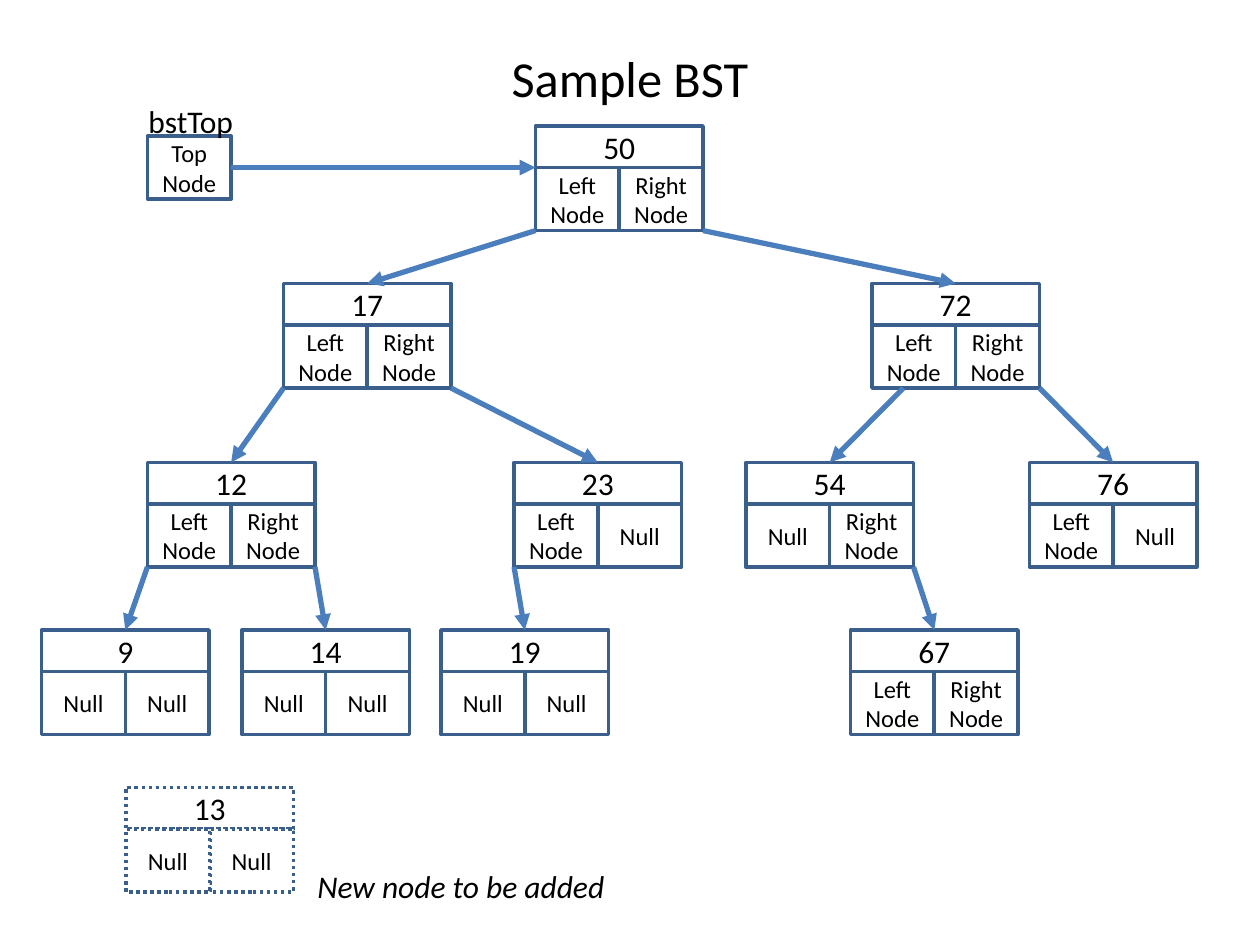
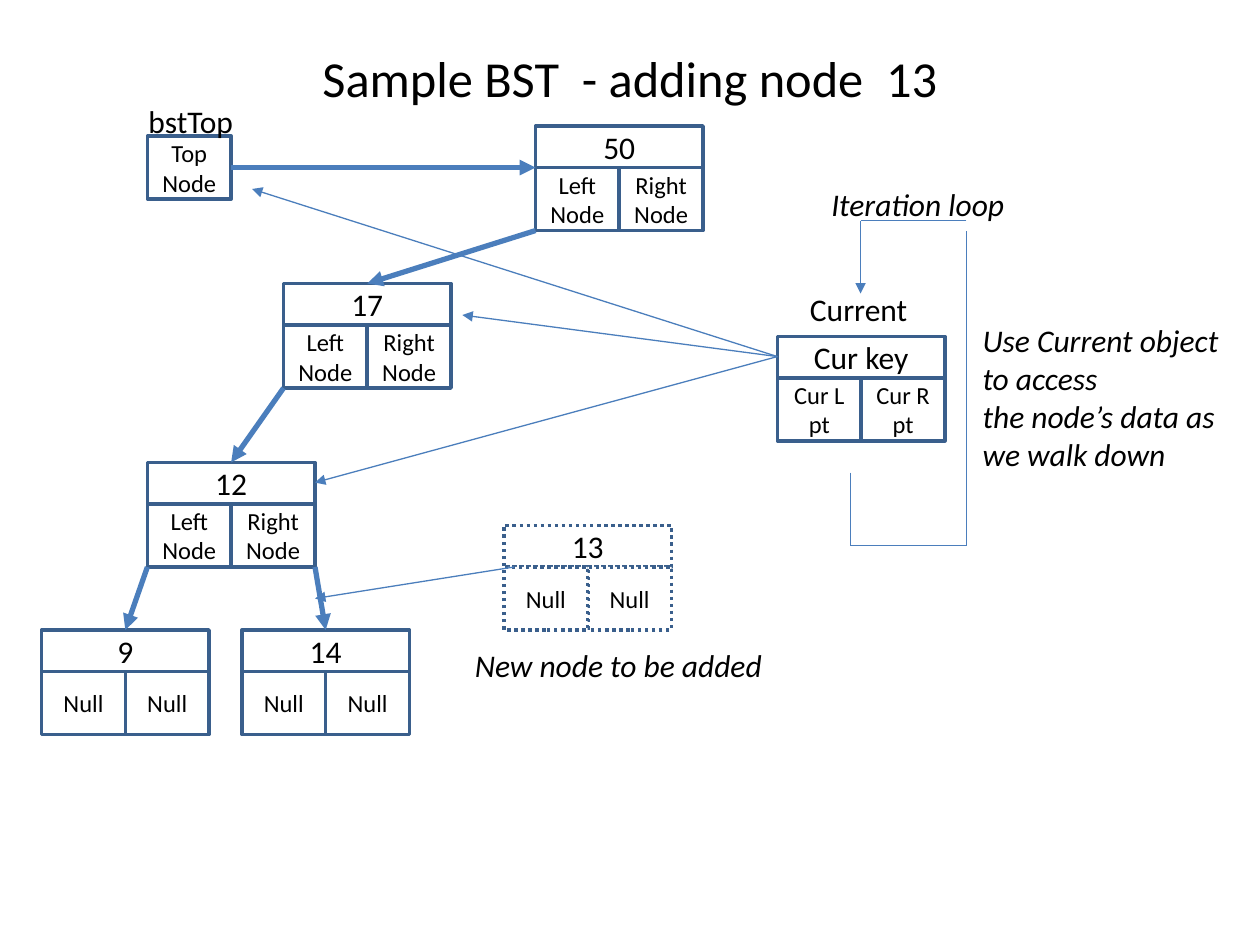
from dataclasses import dataclass

from lxml import etree
from pptx import Presentation
from pptx import util as u
from pptx.dml.color import RGBColor
from pptx.enum import dml, shapes, text
from pptx.oxml import ns


@dataclass(frozen=True)
class Theme:
    font: str = "Calibri"
    ink: str = "000000"
    paper: str = "FFFFFF"
    outline: str = "3A5F8C"
    arrow: str = "4B7EBC"
    title_size: float = 28.8
    key_size: float = 18
    pointer_size: float = 14
    outline_width: float = 2
    link_width: float = 3
    thin_width: float = 0.75


NODE_WIDTH, KEY_HEIGHT, POINTER_HEIGHT = 1.33, 0.33, 0.5
NODE_HEIGHT = KEY_HEIGHT + POINTER_HEIGHT
LEVELS = (1, 2.25, 3.67, 5)
LEFT, RIGHT, NULL = "Left Node", "Right Node", "Null"

TREE = {
    50: (4.25, LEVELS[0], LEFT, RIGHT),
    17: (2.25, LEVELS[1], LEFT, RIGHT),
    72: (6.92, LEVELS[1], LEFT, RIGHT),
    12: (1.17, LEVELS[2], LEFT, RIGHT),
    23: (4.08, LEVELS[2], LEFT, NULL),
    54: (5.92, LEVELS[2], NULL, RIGHT),
    76: (8.17, LEVELS[2], LEFT, NULL),
    14: (1.92, LEVELS[3], NULL, NULL),
    67: (6.75, LEVELS[3], LEFT, RIGHT),
    9: (0.33, LEVELS[3], NULL, NULL),
    19: (3.5, LEVELS[3], NULL, NULL),
}
LINKS = [(50, 17), (50, 72), (72, 76), (17, 12), (17, 23), (72, 54),
         (54, 67), (12, 9), (12, 14), (23, 19)]
LINK_INSETS = {(72, 54): 0.25}
SEARCH_PATH = (50, 17, 12, 14, 9)


def write_text(frame, content, *, theme, size, align=text.PP_ALIGN.LEFT,
               anchor=text.MSO_ANCHOR.TOP, wrap=True, italic=None,
               auto_size=text.MSO_AUTO_SIZE.NONE):
    frame.text = content
    frame.word_wrap = wrap
    frame.auto_size = auto_size
    frame.vertical_anchor = anchor
    for paragraph in frame.paragraphs:
        paragraph.alignment = align
        for run in paragraph.runs:
            run.font.name = theme.font
            run.font.size = u.Pt(size)
            run.font.italic = italic
            run.font.color.rgb = RGBColor.from_string(theme.ink)


class Diagram:
    def __init__(self, deck, theme):
        self.deck = deck
        self.theme = theme
        self.slide = None

    def start_slide(self, heading):
        self.slide = self.deck.slides.add_slide(self.deck.slide_layouts[5])
        title = self.slide.shapes.title
        title.left, title.top = u.Inches(0.5), u.Inches(0.3)
        title.width, title.height = u.Inches(9), u.Inches(0.62)
        write_text(title.text_frame, heading, theme=self.theme,
                   size=self.theme.title_size, align=text.PP_ALIGN.CENTER,
                   anchor=text.MSO_ANCHOR.MIDDLE)

    def cell(self, owner, content, x, y, width, height, size,
             dotted=False, filled=True):
        box = owner.add_shape(shapes.MSO_SHAPE.RECTANGLE, u.Inches(x),
                              u.Inches(y), u.Inches(width), u.Inches(height))
        box.shadow.inherit = False
        if filled:
            box.fill.solid()
            box.fill.fore_color.rgb = RGBColor.from_string(self.theme.paper)
        else:
            box.fill.background()
        box.line.color.rgb = RGBColor.from_string(self.theme.outline)
        box.line.width = u.Pt(self.theme.outline_width)
        if dotted:
            box.line.dash_style = dml.MSO_LINE.ROUND_DOT
        write_text(box.text_frame, content, theme=self.theme, size=size,
                   align=text.PP_ALIGN.CENTER, anchor=text.MSO_ANCHOR.MIDDLE)

    def node(self, key, x, y, left, right, dotted=False):
        members = self.slide.shapes.add_group_shape().shapes
        half = NODE_WIDTH / 2
        self.cell(members, str(key), x, y, NODE_WIDTH, KEY_HEIGHT,
                  self.theme.key_size, dotted)
        for pointer, pointer_x in ((right, x + half), (left, x)):
            self.cell(members, pointer, pointer_x, y + KEY_HEIGHT, half,
                      POINTER_HEIGHT, self.theme.pointer_size, dotted)

    def label(self, content, x, y, width, height=0.4, wrap=False, italic=None):
        box = self.slide.shapes.add_textbox(
            u.Inches(x), u.Inches(y), u.Inches(width), u.Inches(height))
        write_text(box.text_frame, content, theme=self.theme,
                   size=self.theme.key_size, wrap=wrap, italic=italic,
                   auto_size=text.MSO_AUTO_SIZE.SHAPE_TO_FIT_TEXT)

    def line(self, start, end, width, arrow=True):
        connector = self.slide.shapes.add_connector(
            shapes.MSO_CONNECTOR.STRAIGHT,
            *(u.Inches(value) for value in (*start, *end)))
        connector.line.color.rgb = RGBColor.from_string(self.theme.arrow)
        connector.line.width = u.Pt(width)
        if arrow:
            etree.SubElement(connector.line._get_or_add_ln(),
                             ns.qn("a:tailEnd"), type="triangle")
        etree.SubElement(connector._element.spPr, ns.qn("a:effectLst"))

    def link(self, parent, child):
        parent_x, parent_y = TREE[parent][:2]
        child_x, child_y = TREE[child][:2]
        side = 0 if child < parent else NODE_WIDTH
        inset = LINK_INSETS.get((parent, child), 0)
        self.line((parent_x + side + inset, parent_y + NODE_HEIGHT),
                  (child_x + NODE_WIDTH / 2, child_y), self.theme.link_width)

    def tree(self, keys):
        self.cell(self.slide.shapes, "Top\nNode", 1.17, 1.08, NODE_WIDTH / 2,
                  POINTER_HEIGHT, self.theme.pointer_size, filled=False)
        self.label("bstTop", 1.08, 0.76, 0.88)
        for key in keys:
            self.node(key, *TREE[key])
        root_x, root_y = TREE[50][:2]
        self.line((1.83, root_y + KEY_HEIGHT), (root_x, root_y + KEY_HEIGHT),
                  self.theme.link_width)
        for parent, child in LINKS:
            if parent in keys and child in keys:
                self.link(parent, child)

    def new_node(self, x, y, caption_x, caption_y):
        self.node(13, x, y, NULL, NULL, dotted=True)
        self.label("New node to be added", caption_x, caption_y, 2.55,
                   italic=True)


def draw_sample(diagram):
    diagram.start_slide("Sample BST")
    diagram.tree(TREE)
    diagram.new_node(1, 6.25, 2.42, 6.83)


def draw_insertion(diagram):
    thin = diagram.theme.thin_width
    diagram.start_slide("Sample BST  - adding node  13")
    diagram.tree(SEARCH_PATH)
    diagram.new_node(4, 4.17, 3.67, 5.08)

    diagram.node("Cur key", 6.17, 2.67, "Cur L pt", "Cur R pt")
    diagram.label("Current", 6.33, 2.25, 0.98)
    for visited in ((2, 1.5), (3.67, 2.5), (2.5, 3.83)):
        diagram.line((6.17, 2.83), visited, thin)
    diagram.line((4.08, 4.5), (2.5, 4.75), thin)
    diagram.label("Use Current object to access\n"
                  "the node’s data as we walk down",
                  7.7, 2.5, 2.33, 1.31, wrap=True, italic=True)

    loop_exit = [(6.75, 3.75), (6.75, 4.33), (7.67, 4.33), (7.67, 1.83)]
    for start, end in zip(loop_exit, loop_exit[1:]):
        diagram.line(start, end, thin, arrow=False)
    diagram.line((7.67, 1.75), (6.83, 1.75), thin, arrow=False)
    diagram.line((6.83, 1.75), (6.83, 2.33), thin)
    diagram.label("Iteration loop", 6.5, 1.42, 1.6, italic=True)


def main():
    deck = Presentation()
    deck.slide_width, deck.slide_height = u.Inches(10), u.Inches(7.5)
    diagram = Diagram(deck, Theme())
    draw_sample(diagram)
    draw_insertion(diagram)
    deck.save("out.pptx")


if __name__ == "__main__":
    main()
